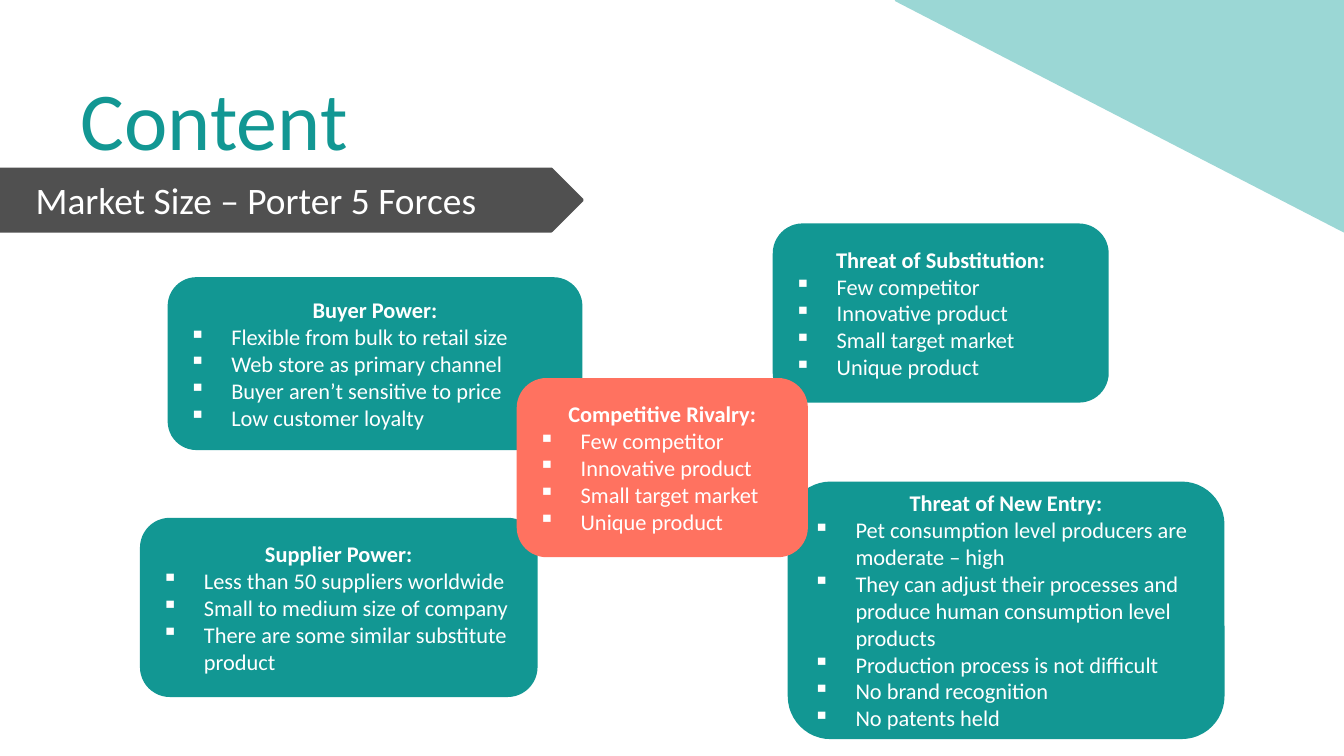
from dataclasses import dataclass

from lxml import etree
from pptx import Presentation
from pptx.dml.color import RGBColor
from pptx.enum import shapes, text
from pptx.oxml import ns
from pptx.util import Pt

FONT = "Calibri"
TEAL, PALE_TEAL, CORAL = "129793", "9BD7D5", "FF7260"
GREY, WHITE = "505050", "FFFFFF"
INDENT = Pt(22.5)
PRODUCT_TRAITS = ("Few competitor", "Innovative product",
                  "Small target market", "Unique product")


@dataclass(frozen=True)
class Frame:
    left: float
    top: float
    width: float
    height: float

    def lengths(self) -> tuple:
        return Pt(self.left), Pt(self.top), Pt(self.width), Pt(self.height)


@dataclass(frozen=True)
class Force:
    heading: str
    points: tuple
    frame: Frame
    fill: str = TEAL


FORCES = (
    Force("Threat of New Entry:",
          ("Pet consumption level producers are moderate – high",
           "They can adjust their processes and produce human consumption level products",
           "Production process is not difficult",
           "No brand recognition",
           "No patents held"),
          Frame(422, 258, 234, 138)),
    Force("Threat of Substitution:", PRODUCT_TRAITS, Frame(414, 119.7, 180, 96)),
    Force("Buyer Power:",
          ("Flexible from bulk to retail size",
           "Web store as primary channel",
           "Buyer aren’t sensitive to price",
           "Low customer loyalty"),
          Frame(89.8, 148.5, 222.2, 92.6)),
    Force("Supplier Power:",
          ("Less than 50 suppliers worldwide",
           "Small to medium size of company",
           "There are some similar substitute product"),
          Frame(75, 277.4, 213, 96)),
    Force("Competitive Rivalry:", PRODUCT_TRAITS, Frame(276.8, 202.5, 156, 96), CORAL),
)


def rgb(value: str) -> RGBColor:
    return RGBColor.from_string(value)


def style_font(font, size: float, color: str, bold: bool = False) -> None:
    font.name = FONT
    font.size = Pt(size)
    font.bold = bold
    font.color.rgb = rgb(color)


def add_block(page, kind, frame: Frame, fill: str, outlined: bool = False):
    block = page.shapes.add_shape(kind, *frame.lengths())
    block.shadow.inherit = False
    block.fill.solid()
    block.fill.fore_color.rgb = rgb(fill)
    if outlined:
        block.line.color.rgb = rgb(fill)
        block.line.width = Pt(1.5)
    else:
        block.line.fill.background()
    return block


def add_bullet(para) -> None:
    """Give the paragraph a square bullet with a hanging indent."""
    properties = para._p.get_or_add_pPr()
    properties.set("marL", str(INDENT))
    properties.set("indent", str(-INDENT))
    etree.SubElement(properties, ns.qn("a:buChar"), char="▪")


def add_force(page, force: Force) -> None:
    box = add_block(page, shapes.MSO_SHAPE.FLOWCHART_ALTERNATE_PROCESS,
                    force.frame, force.fill)
    frame = box.text_frame
    frame.word_wrap = True
    frame.vertical_anchor = text.MSO_ANCHOR.MIDDLE
    heading = frame.paragraphs[0]
    heading.text = force.heading
    heading.alignment = text.PP_ALIGN.CENTER
    style_font(heading.runs[0].font, 12, WHITE, bold=True)
    for point in force.points:
        para = frame.add_paragraph()
        para.text = point
        para.alignment = text.PP_ALIGN.LEFT
        add_bullet(para)
        style_font(para.runs[0].font, 12, WHITE)


def set_title(page, wording: str) -> None:
    title = page.shapes.title
    title.left, title.top, title.width, title.height = Frame(36, 18, 648, 90).lengths()
    title.text_frame.text = wording
    title.text_frame.vertical_anchor = text.MSO_ANCHOR.MIDDLE
    para = title.text_frame.paragraphs[0]
    para.alignment = text.PP_ALIGN.LEFT
    style_font(para.runs[0].font, 44, TEAL)


def add_banner(page, wording: str) -> None:
    add_block(page, shapes.MSO_SHAPE.PENTAGON, Frame(0, 90.5, 312, 33.3), GREY, outlined=True)
    label = page.shapes.add_textbox(*Frame(12, 91.4, 276, 31.5).lengths())
    label.text_frame.word_wrap = True
    label.text_frame.text = wording
    style_font(label.text_frame.paragraphs[0].runs[0].font, 20, WHITE)


def main() -> None:
    deck = Presentation()
    deck.slide_width, deck.slide_height = Pt(720), Pt(405)
    page = deck.slides.add_slide(deck.slide_layouts[5])
    set_title(page, "Content")
    corner = add_block(page, shapes.MSO_SHAPE.RIGHT_TRIANGLE,
                       Frame(480, 0, 240, 123.8), PALE_TEAL, outlined=True)
    corner.rotation = 180
    add_banner(page, "Market Size – Porter 5 Forces")
    for force in FORCES:
        add_force(page, force)
    deck.save("out.pptx")


if __name__ == "__main__":
    main()
